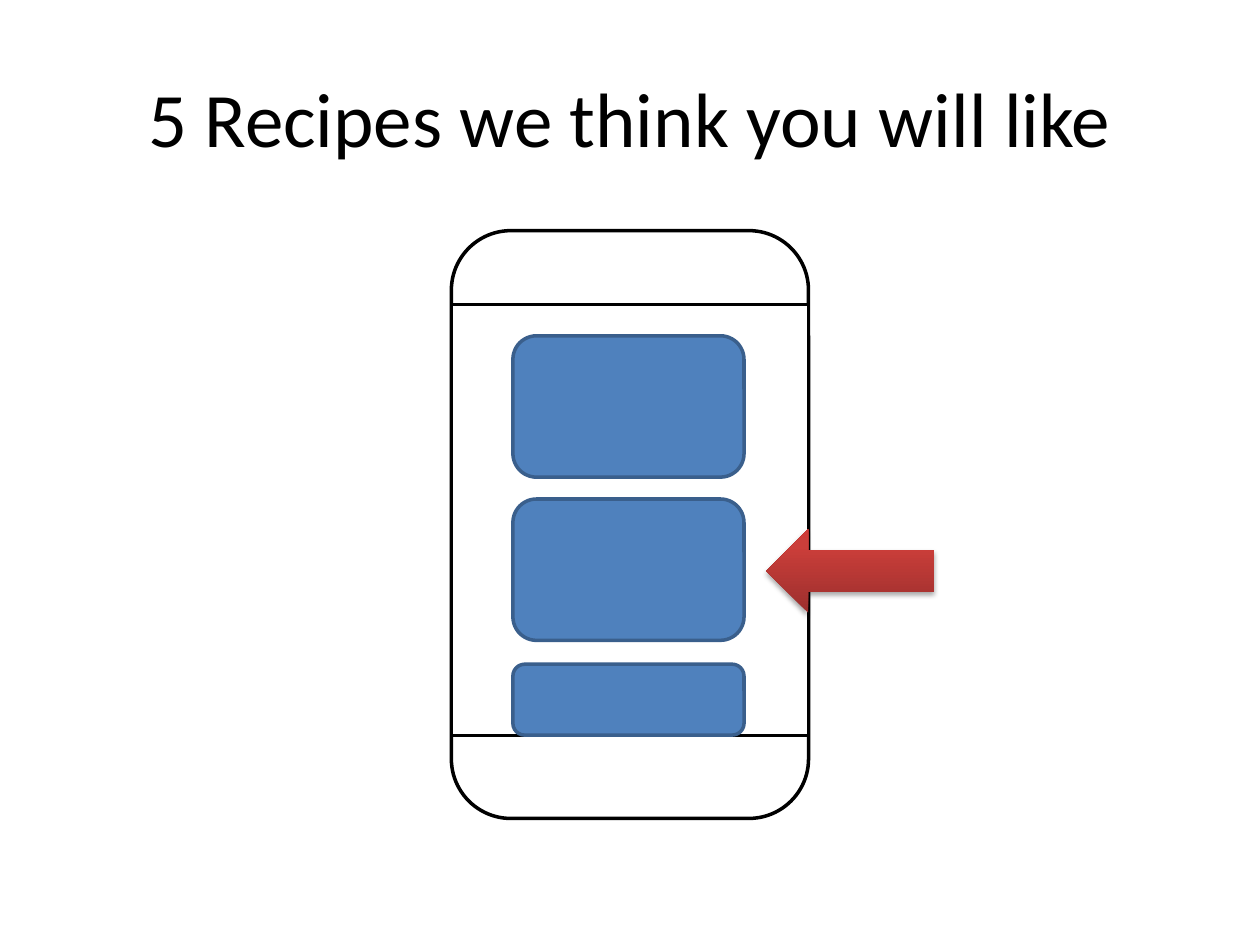
import pptx
import pptx.dml.color
import pptx.enum.shapes
import pptx.enum.text
import pptx.oxml
import pptx.util
from pptx.util import Cm

TITLE = "5 Recipes we think you will like"
PHONE_LEFT, PHONE_WIDTH = 9.1, 7.2
PHONE_PARTS = [("ROUNDED_RECTANGLE", 4.65, 11.85), ("RECTANGLE", 6.14, 8.69)]
CARD_LEFT, CARD_WIDTH = 10.34, 4.66
CARDS = [(6.77, 2.85), (10.06, 2.85), (13.39, 1.43)]
ARROW = (15.45, 10.67, 3.39, 1.68)
ARROW_STOPS = [(0, "9C2F2D"), (80, "CB3E3A"), (100, "CE3B37")]
NAMESPACE = 'xmlns:a="http://schemas.openxmlformats.org/drawingml/2006/main"'


def colour(value):
    return pptx.dml.color.RGBColor.from_string(value)


def add_shape(shapes, kind, box, fill, line):
    preset = getattr(pptx.enum.shapes.MSO_SHAPE, kind)
    shape = shapes.add_shape(preset, *(Cm(length) for length in box))
    shape.shadow.inherit = False
    shape.fill.solid()
    shape.fill.fore_color.rgb = colour(fill)
    if line:
        shape.line.color.rgb = colour(line)
        shape.line.width = pptx.util.Pt(2)
    else:
        shape.line.fill.background()
    return shape


def shade_arrow(shape):
    stops = "".join(
        f'<a:gs pos="{position * 1000}"><a:srgbClr val="{value}"/></a:gs>'
        for position, value in ARROW_STOPS
    )
    gradient = pptx.oxml.parse_xml(
        f'<a:gradFill {NAMESPACE} rotWithShape="1"><a:gsLst>{stops}</a:gsLst>'
        '<a:lin ang="16200000" scaled="0"/></a:gradFill>'
    )
    shadow = pptx.oxml.parse_xml(
        f'<a:outerShdw {NAMESPACE} blurRad="{pptx.util.Pt(3.1)}" dist="{pptx.util.Pt(1.8)}" '
        'dir="5400000" rotWithShape="0"><a:srgbClr val="000000">'
        '<a:alpha val="35000"/></a:srgbClr></a:outerShdw>'
    )
    properties = shape._element.spPr
    solid = properties.find(pptx.oxml.ns.qn("a:solidFill"))
    properties.replace(solid, gradient)
    properties.find(pptx.oxml.ns.qn("a:effectLst")).append(shadow)


presentation = pptx.Presentation()
presentation.slide_width, presentation.slide_height = Cm(25.4), Cm(19.05)
slide = presentation.slides.add_slide(presentation.slide_layouts[5])

title = slide.shapes.title
title.left, title.top, title.width, title.height = Cm(1.27), Cm(0.76), Cm(22.86), Cm(3.18)
title.text_frame.text = TITLE
title.text_frame.vertical_anchor = pptx.enum.text.MSO_ANCHOR.MIDDLE
paragraph = title.text_frame.paragraphs[0]
paragraph.alignment = pptx.enum.text.PP_ALIGN.CENTER
paragraph.font.name = "Calibri"
paragraph.font.size = pptx.util.Pt(44)
paragraph.font.color.rgb = colour("000000")

phone = slide.shapes.add_group_shape()
for kind, top, height in PHONE_PARTS:
    add_shape(phone.shapes, kind, (PHONE_LEFT, top, PHONE_WIDTH, height), "FFFFFF", "000000")

for top, height in CARDS:
    box = (CARD_LEFT, top, CARD_WIDTH, height)
    add_shape(slide.shapes, "ROUNDED_RECTANGLE", box, "4F81BD", "3A5F8C")

shade_arrow(add_shape(slide.shapes, "LEFT_ARROW", ARROW, "CB3E3A", None))

presentation.save("out.pptx")
